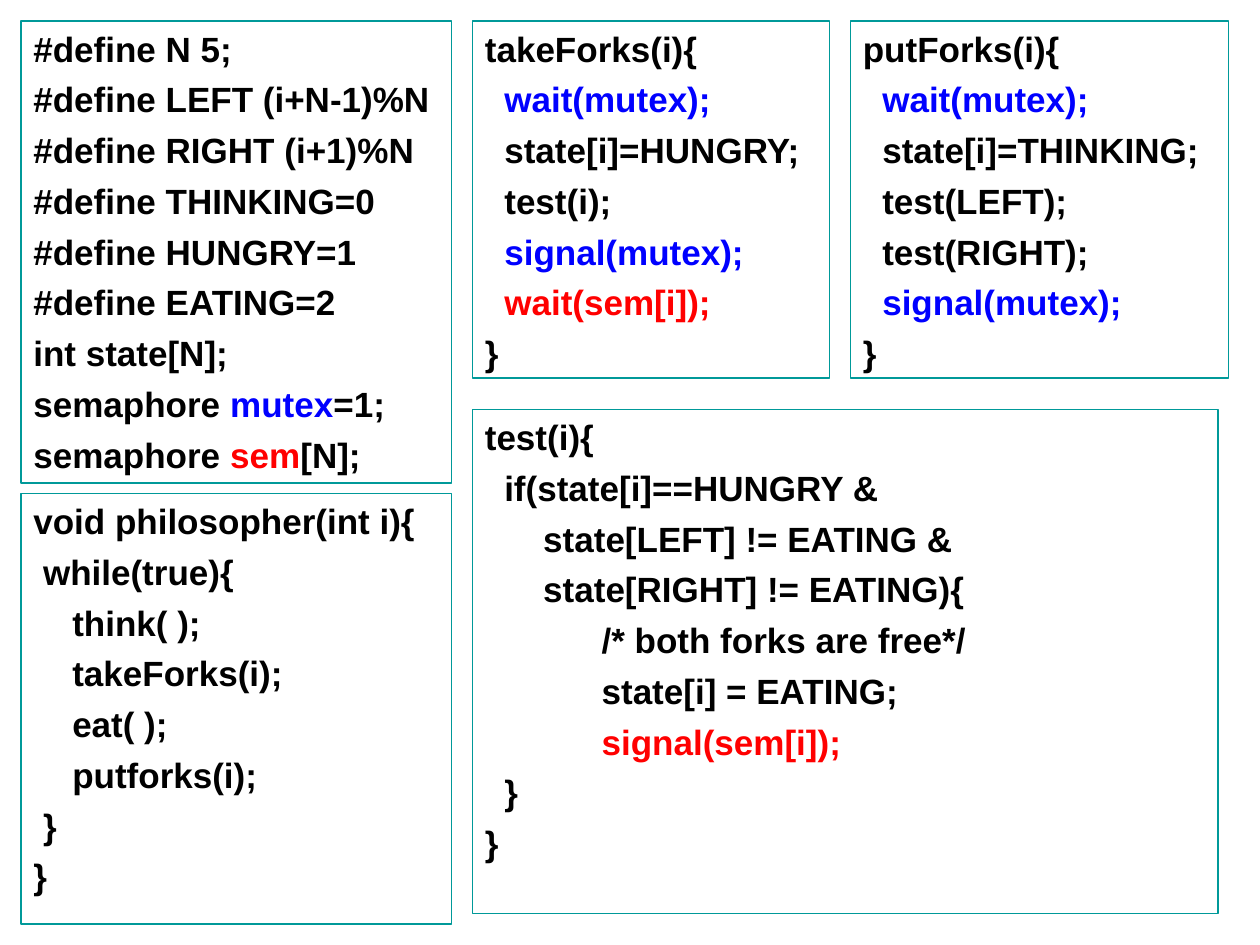
from dataclasses import dataclass

from pptx import Presentation
from pptx.dml.color import RGBColor as RGB
from pptx.enum.text import MSO_ANCHOR
from pptx.util import Pt


@dataclass
class Theme:
    border: RGB = RGB(0x00, 0x99, 0x99)
    code: RGB = RGB(0x00, 0x00, 0x00)
    mutex: RGB = RGB(0x00, 0x00, 0xFF)
    sem: RGB = RGB(0xFF, 0x00, 0x00)
    font: str = "Arial"
    size: int = 20
    space_before: int = 5
    indent_step: float = 5.56


theme = Theme()
MUTEX, SEM = theme.mutex, theme.sem
EDGE, MIDDLE, RIGHT = 12, 270, 486

panels = [
    ((EDGE, 282, 246, 246), [
        (0, "void philosopher(int i){"),
        (1, "while(true){"),
        (4, "think( );"),
        (4, "takeForks(i);"),
        (4, "eat( );"),
        (4, "putforks(i);"),
        (1, "}"),
        (0, "}"),
    ]),
    ((EDGE, EDGE, 246, 264), [
        (0, "#define N 5;"),
        (0, "#define LEFT (i+N-1)%N"),
        (0, "#define RIGHT (i+1)%N"),
        (0, "#define THINKING=0"),
        (0, "#define HUNGRY=1"),
        (0, "#define EATING=2"),
        (0, "int state[N];"),
        (0, "semaphore ", ("mutex", MUTEX), "=1;"),
        (0, "semaphore ", ("sem", SEM), "[N];"),
    ]),
    ((MIDDLE, EDGE, 204, 204), [
        (0, "takeForks(i){"),
        (2, ("wait(mutex);", MUTEX)),
        (2, "state[i]=HUNGRY;"),
        (2, "test(i);"),
        (2, ("signal(mutex);", MUTEX)),
        (2, ("wait(sem[i]);", SEM)),
        (0, "}"),
    ]),
    ((RIGHT, EDGE, 216, 204), [
        (0, "putForks(i){"),
        (2, ("wait(mutex);", MUTEX)),
        (2, "state[i]=THINKING;"),
        (2, "test(LEFT);"),
        (2, "test(RIGHT);"),
        (2, ("signal(mutex);", MUTEX)),
        (0, "}"),
    ]),
    ((MIDDLE, 234, 426, 288), [
        (0, "test(i){"),
        (2, "if(state[i]==HUNGRY &"),
        (6, "state[LEFT] != EATING &"),
        (6, "state[RIGHT] != EATING){"),
        (12, "/* both forks are free*/"),
        (12, "state[i] = EATING;"),
        (12, ("signal(sem[i]);", SEM)),
        (2, "}"),
        (0, "}"),
    ]),
]

prs = Presentation()
prs.slide_width, prs.slide_height = Pt(720), Pt(540)
s = prs.slides.add_slide(prs.slide_layouts[6])

for box, lines in panels:
    sp = s.shapes.add_textbox(*map(Pt, box))
    sp.line.color.rgb = theme.border
    sp.line.width = Pt(0.75)
    tf = sp.text_frame
    tf.word_wrap = True
    tf.vertical_anchor = MSO_ANCHOR.TOP
    for i, (depth, *parts) in enumerate(lines):
        p = tf.add_paragraph() if i else tf.paragraphs[0]
        p.space_before = Pt(theme.space_before)
        p._p.get_or_add_pPr().set("marL", str(Pt(depth * theme.indent_step)))
        for part in parts:
            text, color = (part, theme.code) if isinstance(part, str) else part
            r = p.add_run()
            r.text = text
            r.font.name = theme.font
            r.font.size = Pt(theme.size)
            r.font.bold = True
            r.font.color.rgb = color

prs.save("out.pptx")
